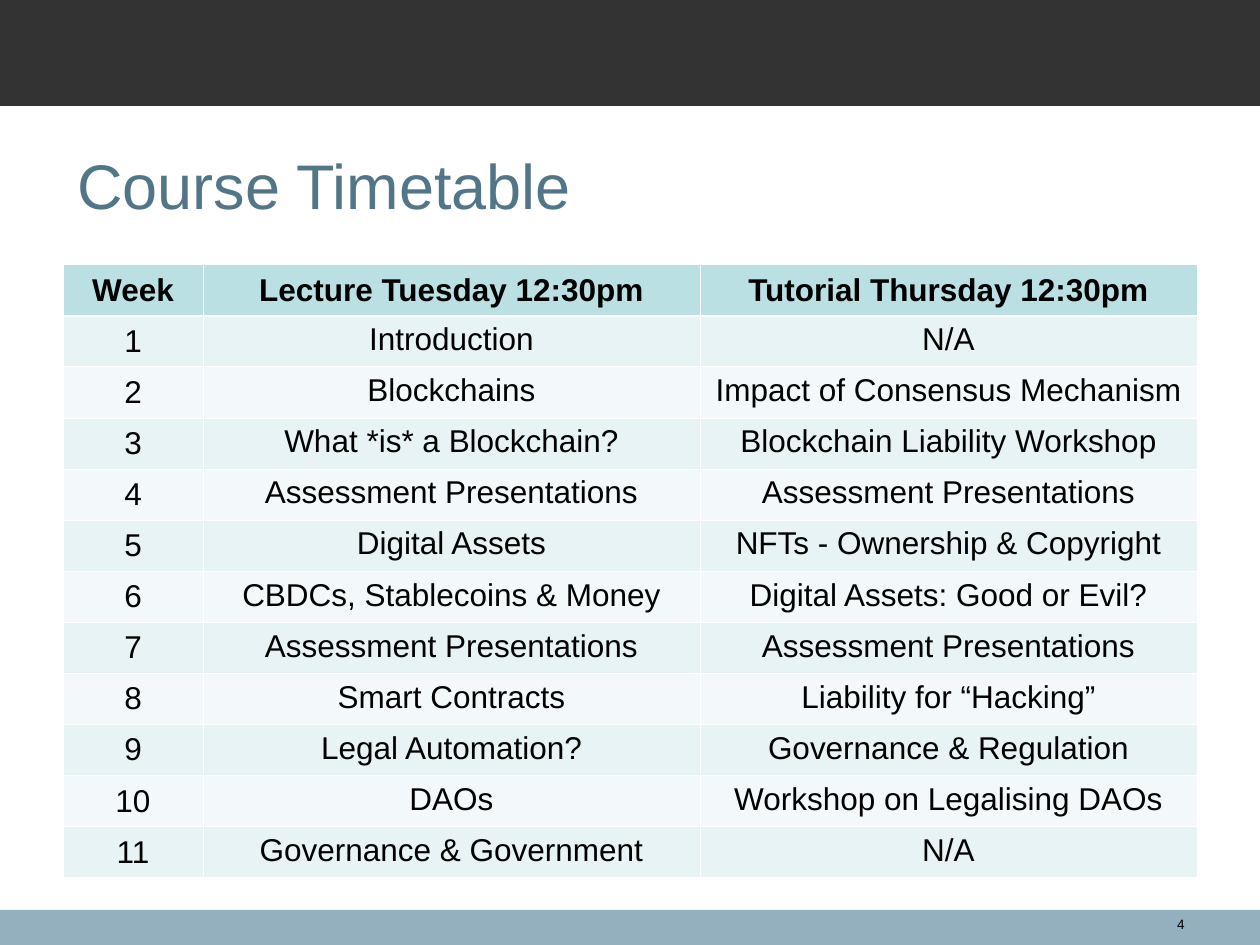
import pptx
import pptx.dml.color
import pptx.enum.shapes
import pptx.enum.text
import pptx.oxml
import pptx.oxml.ns
import pptx.util
from dataclasses import dataclass

Pt = pptx.util.Pt
RGB = pptx.dml.color.RGBColor.from_string
ALIGN = pptx.enum.text.PP_ALIGN
ANCHOR = pptx.enum.text.MSO_ANCHOR


@dataclass(frozen=True)
class Theme:
    font: str = "Arial"
    text: str = "000000"
    title: str = "527688"
    top_band: str = "333333"
    bottom_band: str = "94B0BE"
    header: str = "BBE0E3"
    rows: tuple = ("E7F3F4", "F3F9FA")
    rule: str = "FFFFFF"
    thin: float = 0.45
    thick: float = 1.47
    title_size: float = 36
    table_size: float = 18
    number_size: float = 7.7


THEME = Theme()
TIMETABLE = [
    ("Week", "Lecture Tuesday 12:30pm", "Tutorial Thursday 12:30pm"),
    ("1", "Introduction", "N/A"),
    ("2", "Blockchains", "Impact of Consensus Mechanism"),
    ("3", "What *is* a Blockchain?", "Blockchain Liability Workshop"),
    ("4", "Assessment Presentations", "Assessment Presentations"),
    ("5", "Digital Assets", "NFTs - Ownership & Copyright"),
    ("6", "CBDCs, Stablecoins & Money", "Digital Assets: Good or Evil?"),
    ("7", "Assessment Presentations", "Assessment Presentations"),
    ("8", "Smart Contracts", "Liability for “Hacking”"),
    ("9", "Legal Automation?", "Governance & Regulation"),
    ("10", "DAOs", "Workshop on Legalising DAOs"),
    ("11", "Governance & Government", "N/A"),
]


def write(tf, text, size, color=THEME.text, align=ALIGN.LEFT, bold=False):
    p = tf.paragraphs[0]
    p.alignment = align
    r = p.add_run()
    r.text = text
    for name, value in {"name": THEME.font, "size": Pt(size), "bold": bold}.items():
        setattr(r.font, name, value)
    r.font.color.rgb = RGB(color)


def add_band(s, box, color):
    sp = s.shapes.add_shape(pptx.enum.shapes.MSO_SHAPE.RECTANGLE, *map(Pt, box))
    sp.shadow.inherit = False
    sp.fill.solid()
    sp.fill.fore_color.rgb = RGB(color)
    sp.line.fill.background()


def add_text(s, box, text, size, anchor=ANCHOR.TOP, **style):
    tf = s.shapes.add_textbox(*map(Pt, box)).text_frame
    tf.word_wrap = True
    tf.vertical_anchor = anchor
    write(tf, text, size, **style)


def set_borders(cell, widths):
    tc_pr = cell._tc.get_or_add_tcPr()
    for side, width in widths.items():
        tc_pr.append(pptx.oxml.parse_xml(
            f'<a:ln{side} {pptx.oxml.ns.nsdecls("a")} w="{int(Pt(width))}">'
            f'<a:solidFill><a:srgbClr val="{THEME.rule}"/></a:solidFill></a:ln{side}>'))


def add_timetable(s, box, rows, week_width):
    left, top, width, height = box
    table = s.shapes.add_table(len(rows), len(rows[0]), *map(Pt, box)).table
    session_width = (width - week_width) / 2
    for col, w in zip(table.columns, (week_width, session_width, session_width)):
        col.width = Pt(w)
    for i, texts in enumerate(rows):
        table.rows[i].height = Pt(height / len(rows))
        is_header = i == 0
        fill = THEME.header if is_header else THEME.rows[(i - 1) % 2]
        # The heavier rule separates the header from the weeks
        borders = {"L": THEME.thin, "R": THEME.thin,
                   "T": THEME.thick if i == 1 else THEME.thin,
                   "B": THEME.thick if is_header else THEME.thin}
        for j, text in enumerate(texts):
            cell = table.cell(i, j)
            set_borders(cell, borders)
            cell.fill.solid()
            cell.fill.fore_color.rgb = RGB(fill)
            cell.vertical_anchor = ANCHOR.MIDDLE if is_header or j == 0 else ANCHOR.TOP
            write(cell.text_frame, text, THEME.table_size,
                  align=ALIGN.CENTER, bold=is_header)


def add_timetable_slide(prs, box):
    left, top, width, height = box
    s = prs.slides.add_slide(prs.slide_layouts[6])
    footer_top = top + height - 20

    # Bands
    add_band(s, (left, footer_top, width, 20), THEME.bottom_band)
    add_band(s, (left, top, width, 60.5), THEME.top_band)

    # Title
    add_text(s, (left + 37, top + 60.5, width - 72, 90), "Course Timetable",
             THEME.title_size, anchor=ANCHOR.MIDDLE, color=THEME.title)

    # Timetable
    add_timetable(s, (left + 36, top + 151.2, width - 72, 350.4), TIMETABLE, 80)

    # Slide number
    add_text(s, (left + width - 82, footer_top, 46, 17), "4",
             THEME.number_size, align=ALIGN.RIGHT)


def main():
    prs = pptx.Presentation()
    prs.slide_width, prs.slide_height = Pt(720), Pt(540)
    add_timetable_slide(prs, (0, 0, 720, 540))
    prs.save("out.pptx")


if __name__ == "__main__":
    main()
